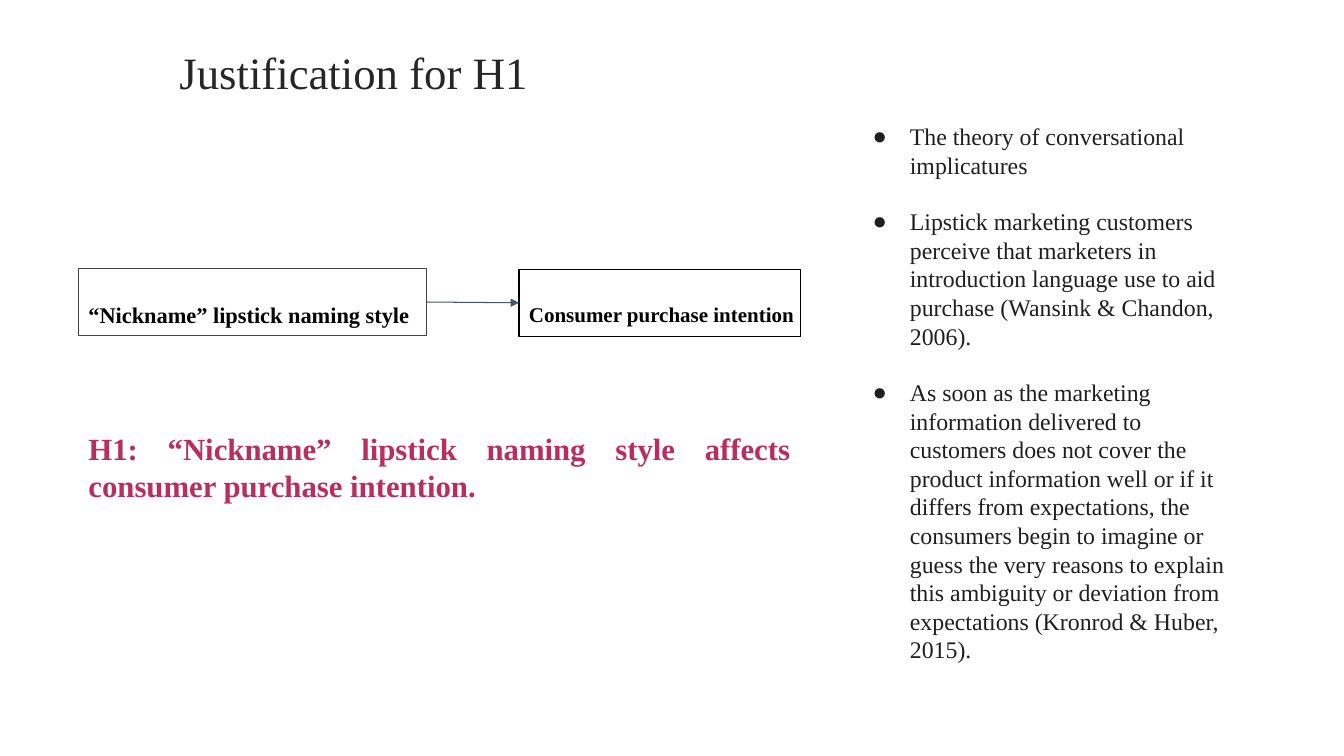
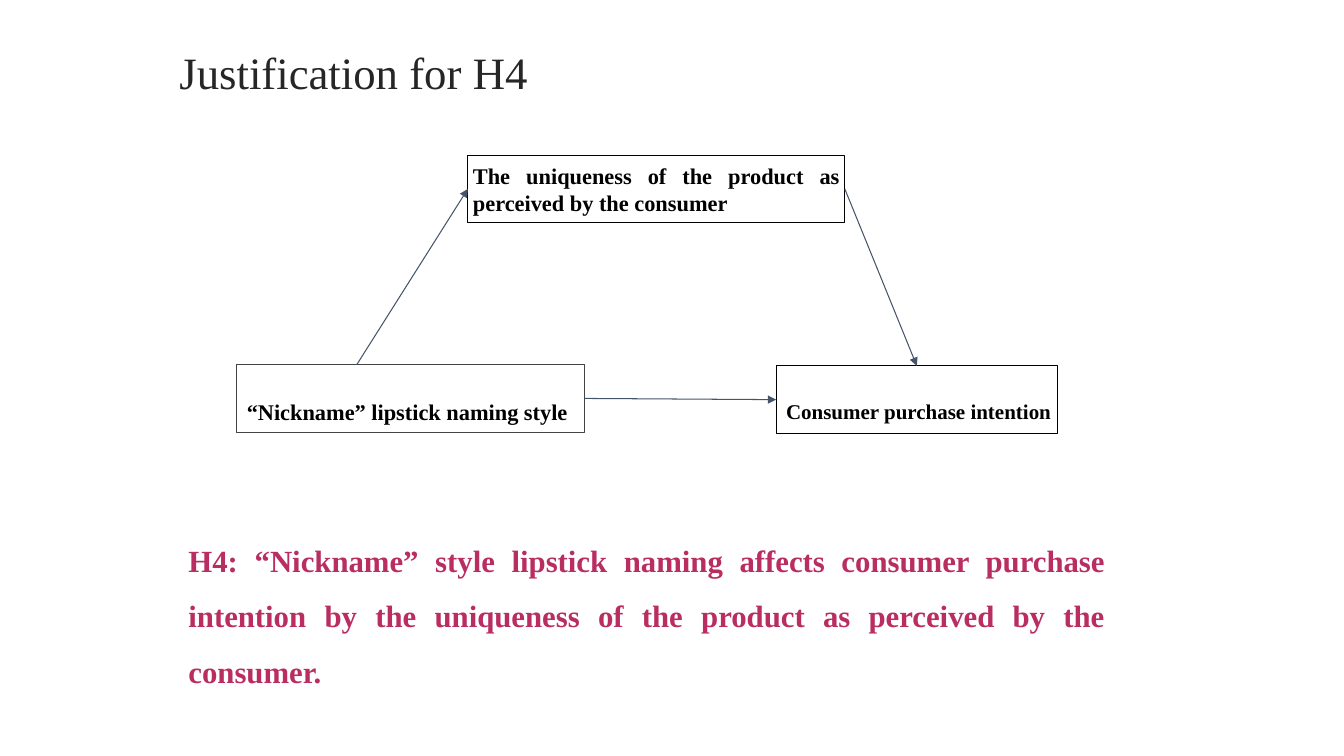
from lxml.etree import SubElement
from pptx import Presentation
from pptx.dml.color import RGBColor
from pptx.enum.shapes import MSO_CONNECTOR as Connector, MSO_SHAPE as Preset
from pptx.enum.text import MSO_ANCHOR as Anchor, MSO_AUTO_SIZE as AutoSize, PP_ALIGN as Align
from pptx.oxml.ns import qn
from pptx.util import Cm, Pt

COLORS = {
    "title": "262626",
    "body": "1F1F1F",
    "label": "000000",
    "grey_border": "434343",
    "arrow": "44546A",
    "hypothesis": "B92D61",
}
FONT = "Times New Roman"
TITLE_AND_BODY, TITLE_ONLY = 1, 5
TOP, LEFT, RIGHT = 0, 1, 3
BOX_HEIGHT = 1.7
NAMING = "“Nickname” lipstick naming style"
INTENTION = "Consumer purchase intention"
UNIQUENESS = "The uniqueness of the product as perceived by the consumer"


def color(name):
    return RGBColor.from_string(COLORS[name])


class Deck:
    """Holds the shared style and the slide being built."""

    def __init__(self):
        self.presentation = Presentation()
        self.presentation.slide_width = Cm(33.87)
        self.presentation.slide_height = Cm(19.05)
        self.slide = None

    def add_slide(self, title, layout):
        layouts = self.presentation.slide_layouts
        self.slide = self.presentation.slides.add_slide(layouts[layout])
        shape = self.slide.shapes.title
        self.place(shape, 4.27, 0.94, 20.52, 1.68)
        shape.text_frame.text = title
        self.format_frame(shape.text_frame, (0.25, 0.13, 0.25, 0.13), Anchor.BOTTOM)
        self.format_paragraph(shape.text_frame.paragraphs[0], 32, "title", Align.LEFT)

    @staticmethod
    def place(shape, left, top, width, height):
        shape.left, shape.top = Cm(left), Cm(top)
        shape.width, shape.height = Cm(width), Cm(height)

    @staticmethod
    def format_frame(frame, insets, anchor=Anchor.TOP):
        frame.word_wrap = True
        frame.auto_size = AutoSize.NONE
        frame.vertical_anchor = anchor
        (frame.margin_left, frame.margin_top,
         frame.margin_right, frame.margin_bottom) = map(Cm, insets)

    @staticmethod
    def format_paragraph(paragraph, size, color_name, align, bold=False, spacing=1.0):
        paragraph.alignment = align
        paragraph.line_spacing = spacing
        paragraph.space_before = Pt(0)
        for run in paragraph.runs:
            run.font.name = FONT
            run.font.size = Pt(size)
            run.font.bold = bold
            run.font.color.rgb = color(color_name)

    def bullets(self, items, left, top, width, height):
        body = self.slide.placeholders[1]
        self.place(body, left, top, width, height)
        frame = body.text_frame
        frame.text = "\n".join(items)
        self.format_frame(frame, (0.25,) * 4)
        for index, paragraph in enumerate(frame.paragraphs):
            properties = paragraph._p.get_or_add_pPr()
            properties.set("marL", str(Cm(1.27)))
            properties.set("indent", str(Cm(-0.94)))
            bullet_color = SubElement(properties, qn("a:buClr"))
            SubElement(bullet_color, qn("a:srgbClr"), val=COLORS["body"])
            SubElement(properties, qn("a:buFont"), typeface=FONT)
            SubElement(properties, qn("a:buChar"), char="●")
            self.format_paragraph(paragraph, 17, "body", Align.LEFT)
            if index:
                paragraph.space_before = Pt(20)

    def box(self, text, left, top, width, size=16, border="label",
            insets=(0.25, 0.5, 0, 0), anchor=Anchor.TOP, spacing=1.5):
        shape = self.slide.shapes.add_shape(
            Preset.RECTANGLE, Cm(left), Cm(top), Cm(width), Cm(BOX_HEIGHT))
        shape.shadow.inherit = False
        shape.fill.background()
        shape.line.color.rgb = color(border)
        shape.line.width = Pt(0.75)
        shape.text_frame.text = text
        self.format_frame(shape.text_frame, insets, anchor)
        self.format_paragraph(shape.text_frame.paragraphs[0], size, "label",
                              Align.JUSTIFY, True, spacing)
        return shape

    def naming_and_intention(self, naming_at, intention_at):
        """The direct effect, shown on every slide."""
        naming = self.box(NAMING, *naming_at, 8.76, border="grey_border")
        intention = self.box(INTENTION, *intention_at, 7.09, size=15)
        self.arrow((naming, RIGHT), (intention, LEFT))
        return naming, intention

    def arrow(self, start, end, start_point=(0, 0)):
        """Join two (shape, side) pairs; without a start, use start_point."""
        x, y = map(Cm, start_point)
        connector = self.slide.shapes.add_connector(Connector.STRAIGHT, x, y, x, y)
        if start:
            connector.begin_connect(*start)
        connector.end_connect(*end)
        connector.line.color.rgb = color("arrow")
        connector.line.width = Pt(0.75)
        SubElement(connector.line._get_or_add_ln(), qn("a:tailEnd"), type="triangle")
        SubElement(connector._element.spPr, qn("a:effectLst"))

    def hypothesis(self, text, left, top, width, height, spacing=1.0):
        shape = self.slide.shapes.add_textbox(Cm(left), Cm(top), Cm(width), Cm(height))
        shape.text_frame.text = text
        self.format_frame(shape.text_frame, (0.25,) * 4)
        self.format_paragraph(shape.text_frame.paragraphs[0], 22, "hypothesis",
                              Align.JUSTIFY, True, spacing)


def main():
    deck = Deck()

    # H1: direct effect with its reasons
    deck.add_slide("Justification for H1", TITLE_AND_BODY)
    deck.naming_and_intention((1.98, 6.76), (13.08, 6.78))
    deck.hypothesis(
        "H1: “Nickname” lipstick naming style affects consumer purchase intention.",
        1.98, 10.59, 18.19, 2.39)
    deck.bullets([
        "The theory of conversational implicatures",
        "Lipstick marketing customers perceive that marketers in introduction "
        "language use to aid purchase (Wansink & Chandon, 2006).",
        "As soon as the marketing information delivered to customers does not cover "
        "the product information well or if it differs from expectations, the "
        "consumers begin to imagine or guess the very reasons to explain this "
        "ambiguity or deviation from expectations (Kronrod & Huber, 2015).",
    ], 21.41, 2.82, 10.13, 14.33)

    # H4: effect through perceived uniqueness
    deck.add_slide("Justification for H4", TITLE_ONLY)
    naming, intention = deck.naming_and_intention((5.97, 9.19), (19.56, 9.22))
    uniqueness = deck.box(UNIQUENESS, 11.79, 3.91, 9.5, insets=(0.13, 0, 0.13, 0),
                          anchor=Anchor.MIDDLE, spacing=1.0)
    deck.arrow(None, (uniqueness, LEFT), start_point=(8.99, 9.19))
    deck.arrow((uniqueness, RIGHT), (intention, TOP))
    deck.hypothesis(
        "H4: “Nickname” style lipstick naming affects consumer purchase intention "
        "by the uniqueness of the product as perceived by the consumer.",
        4.5, 12.93, 23.6, 4.27, spacing=1.5)

    deck.presentation.save("out.pptx")


if __name__ == "__main__":
    main()
